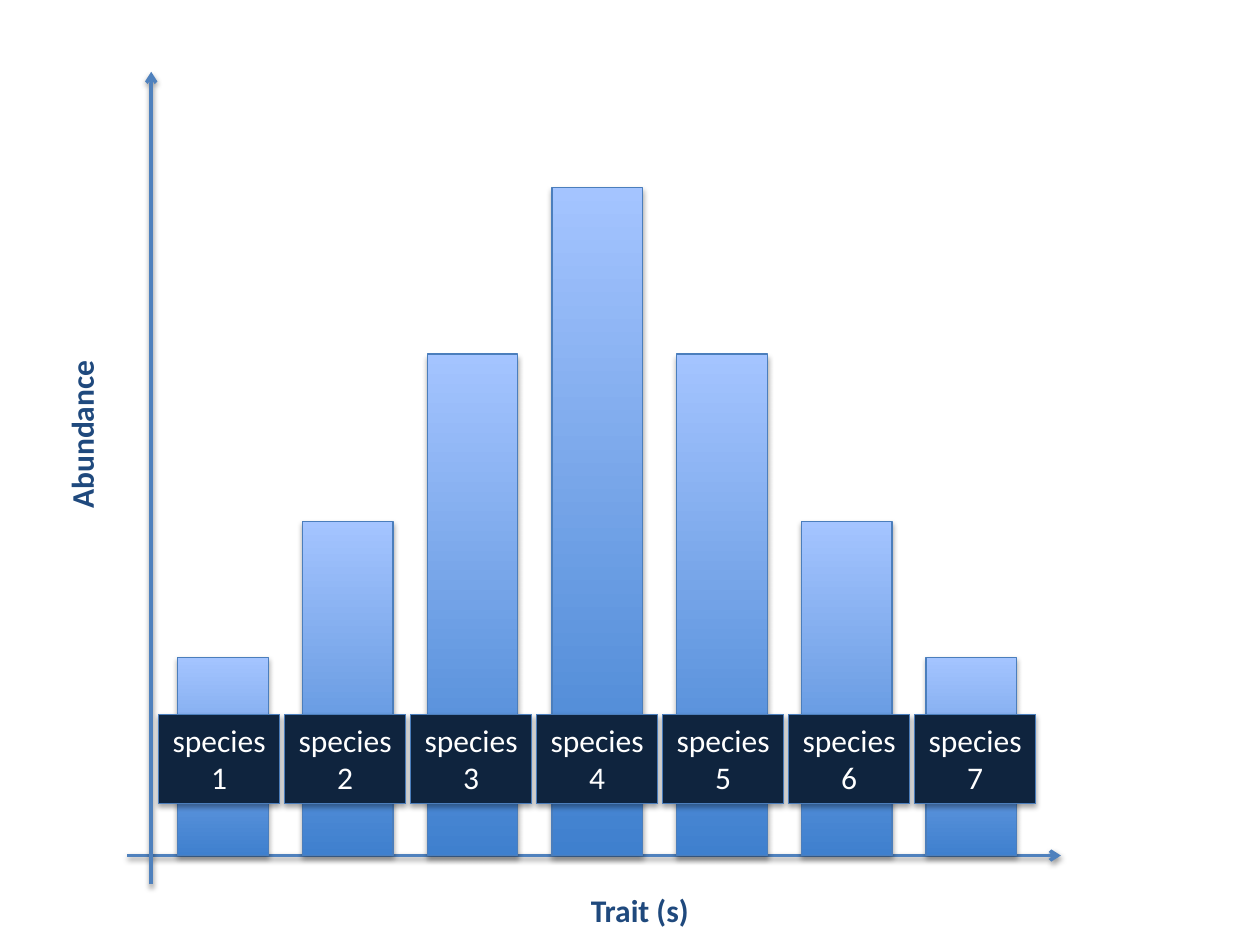
"""Build a slide with species abundance bars along a trait axis."""
from lxml import etree
from pptx import Presentation
from pptx.dml.color import RGBColor
from pptx.enum import shapes, text
from pptx.oxml import ns
from pptx.util import Inches, Pt

AXIS_BLUE = RGBColor(0x4F, 0x81, 0xBD)
OUTLINE_BLUE = RGBColor(0x4B, 0x7E, 0xBC)
BAR_BOTTOM = RGBColor(0x3F, 0x80, 0xCE)
BAR_TOP = RGBColor(0xA4, 0xC4, 0xFF)
LABEL_NAVY = RGBColor(0x0F, 0x24, 0x3E)
TITLE_BLUE = RGBColor(0x1F, 0x49, 0x7D)
WHITE = RGBColor(0xFF, 0xFF, 0xFF)

BASELINE = 6.79
STEP = 0.99
BAR_LEFT, BAR_WIDTH = 1.41, 0.72
LABEL_LEFT, LABEL_STEP = 1.26, 1.0
BAR_HEIGHTS = (1.57, 2.65, 3.98, 5.3, 3.98, 2.65, 1.57)


def add_shadow(shape, distance, opacity):
    """Give the shape a soft shadow that falls straight down."""
    properties = shape._element.spPr
    for effects in properties.findall(ns.qn("a:effectLst")):
        properties.remove(effects)
    effects = etree.SubElement(properties, ns.qn("a:effectLst"))
    shadow = etree.SubElement(
        effects, ns.qn("a:outerShdw"), blurRad=str(Pt(3.1)),
        dist=str(Pt(distance)), dir="5400000", rotWithShape="0")
    color = etree.SubElement(shadow, ns.qn("a:srgbClr"), val="000000")
    etree.SubElement(color, ns.qn("a:alpha"), val=str(opacity * 1000))


def add_axis(slide, start, end):
    """Draw an axis with an arrowhead at its end."""
    points = [Inches(value) for value in (*start, *end)]
    axis = slide.shapes.add_connector(shapes.MSO_CONNECTOR.STRAIGHT, *points)
    axis.line.color.rgb = AXIS_BLUE
    axis.line.width = Pt(2)
    etree.SubElement(axis.line._get_or_add_ln(), ns.qn("a:tailEnd"), type="arrow")
    add_shadow(axis, 1.6, 38)


def add_rectangle(slide, left, top, width, height):
    """Add an outlined rectangle with a shadow."""
    rectangle = slide.shapes.add_shape(
        shapes.MSO_SHAPE.RECTANGLE, Inches(left), Inches(top),
        Inches(width), Inches(height))
    rectangle.line.color.rgb = OUTLINE_BLUE
    rectangle.line.width = Pt(0.75)
    add_shadow(rectangle, 1.8, 35)
    return rectangle


def write_text(shape, lines, color, bold=False, wrap=True,
               align=text.PP_ALIGN.LEFT):
    """Write one paragraph for each line into the shape."""
    frame = shape.text_frame
    frame.word_wrap = wrap
    frame.auto_size = text.MSO_AUTO_SIZE.SHAPE_TO_FIT_TEXT
    frame.vertical_anchor = text.MSO_ANCHOR.TOP
    frame.text = "\n".join(lines)
    for paragraph in frame.paragraphs:
        paragraph.alignment = align
        font = paragraph.runs[0].font
        font.name, font.size, font.bold = "Calibri", Pt(18), bold
        font.color.rgb = color


def add_bar(slide, left, height):
    """Add a gradient bar standing on the baseline."""
    bar = add_rectangle(slide, left, BASELINE - height, BAR_WIDTH, height)
    bar.fill.gradient()
    bar.fill.gradient_angle = 90
    for stop, color in zip(bar.fill.gradient_stops, (BAR_BOTTOM, BAR_TOP)):
        stop.color.rgb = color


def add_species_label(slide, left, number):
    """Add the dark label that names a species."""
    label = add_rectangle(slide, left, 5.67, 0.96, 0.71)
    label.fill.solid()
    label.fill.fore_color.rgb = LABEL_NAVY
    write_text(label, ("species", str(number)), WHITE,
               align=text.PP_ALIGN.CENTER)


def add_axis_title(slide, title, left, top, width, rotation=0):
    """Add a bold axis title."""
    box = slide.shapes.add_textbox(
        Inches(left), Inches(top), Inches(width), Inches(0.4))
    box.rotation = rotation
    write_text(box, (title,), TITLE_BLUE, bold=True, wrap=False)


def main():
    """Build and save the slide."""
    presentation = Presentation()
    presentation.slide_width = Inches(10)
    presentation.slide_height = Inches(7.5)
    slide = presentation.slides.add_slide(presentation.slide_layouts[6])

    add_axis(slide, (1.01, BASELINE), (8.42, BASELINE))
    add_axis(slide, (1.2, 7.02), (1.2, 0.57))
    for index, height in enumerate(BAR_HEIGHTS):
        add_bar(slide, BAR_LEFT + index * STEP, height)
    for index in range(len(BAR_HEIGHTS)):
        add_species_label(slide, LABEL_LEFT + index * LABEL_STEP, index + 1)
    add_axis_title(slide, "Abundance", -0.05, 3.24, 1.39, rotation=270)
    add_axis_title(slide, "Trait (s)", 4.59, 7.02, 0.99)
    presentation.save("out.pptx")


if __name__ == "__main__":
    main()
